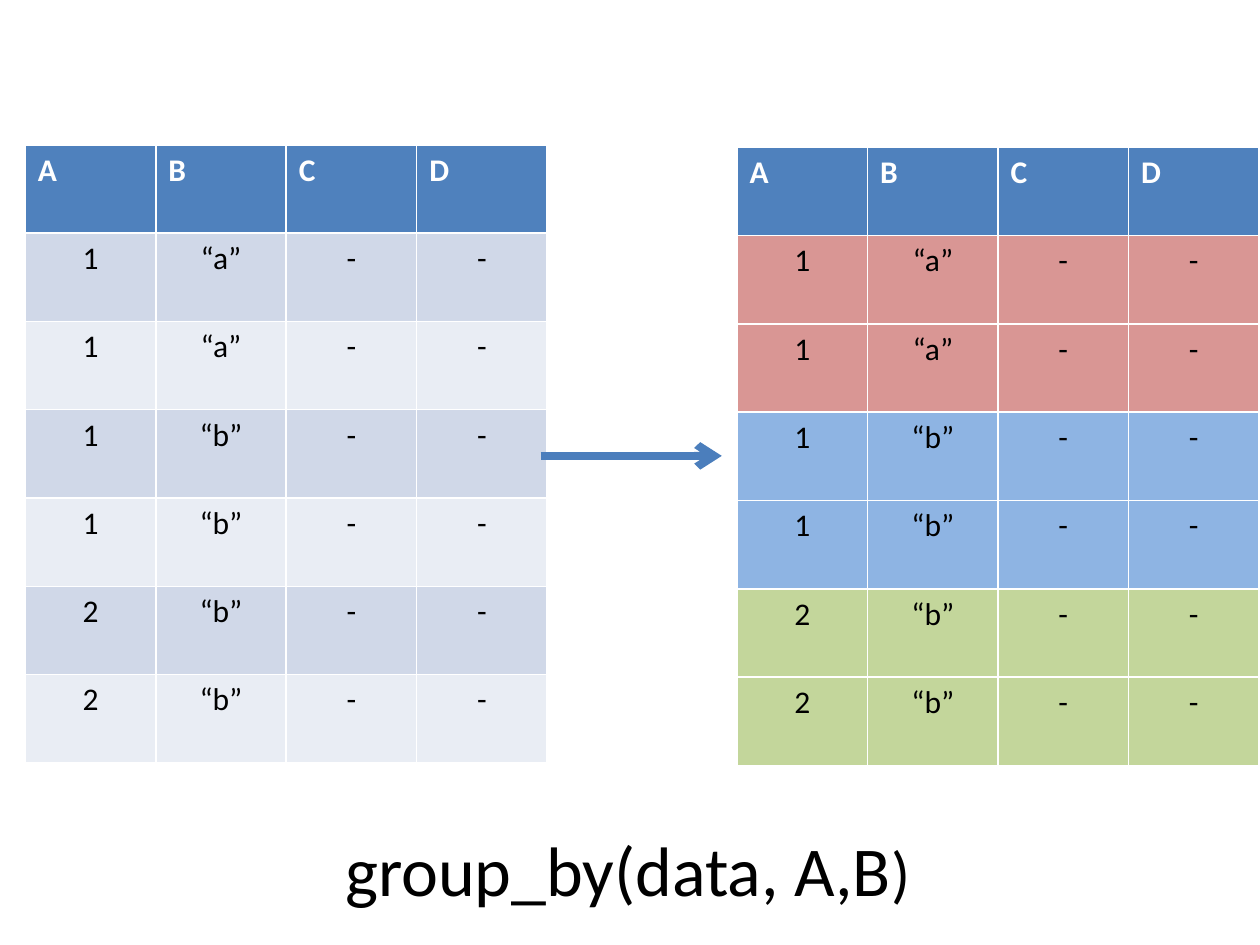
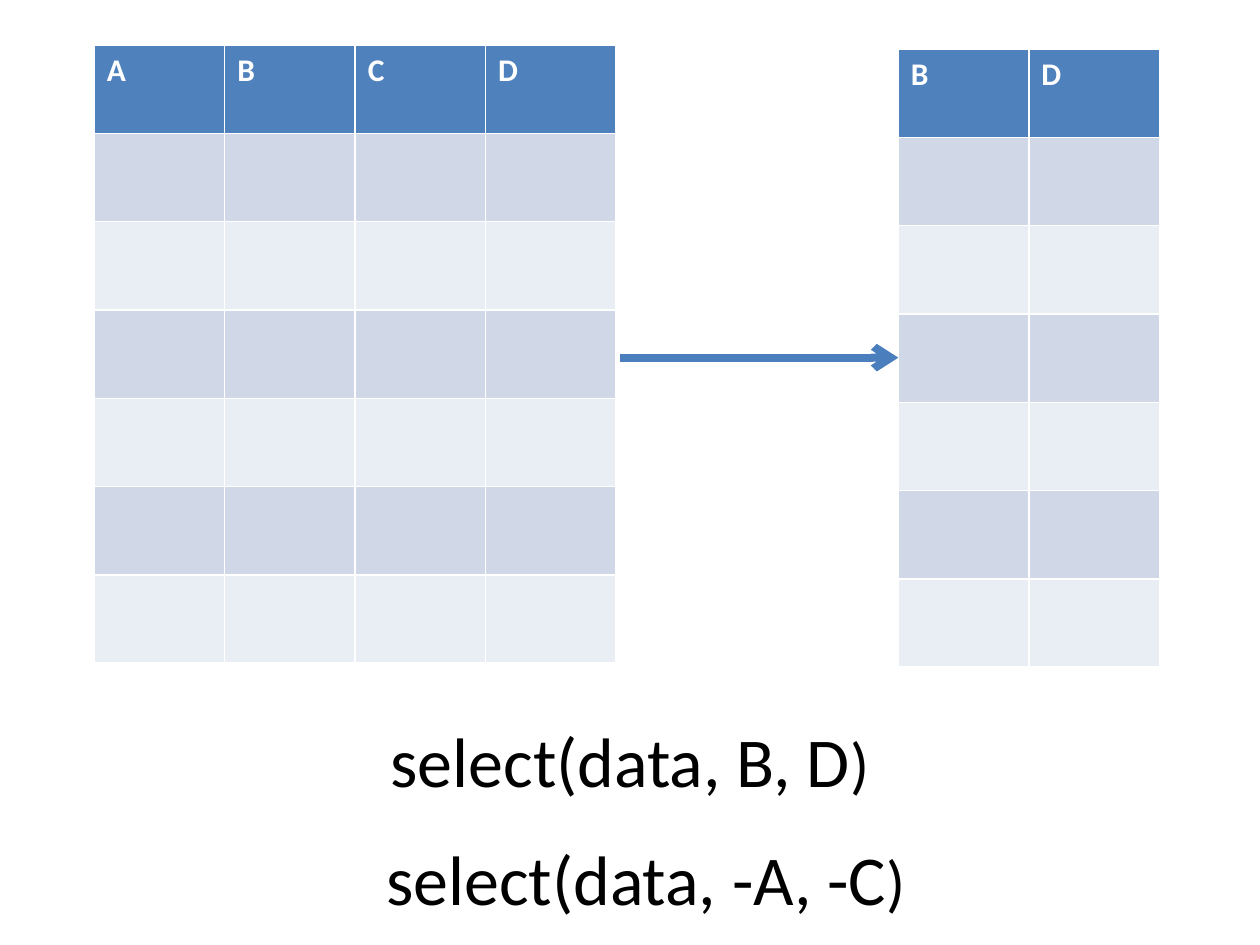
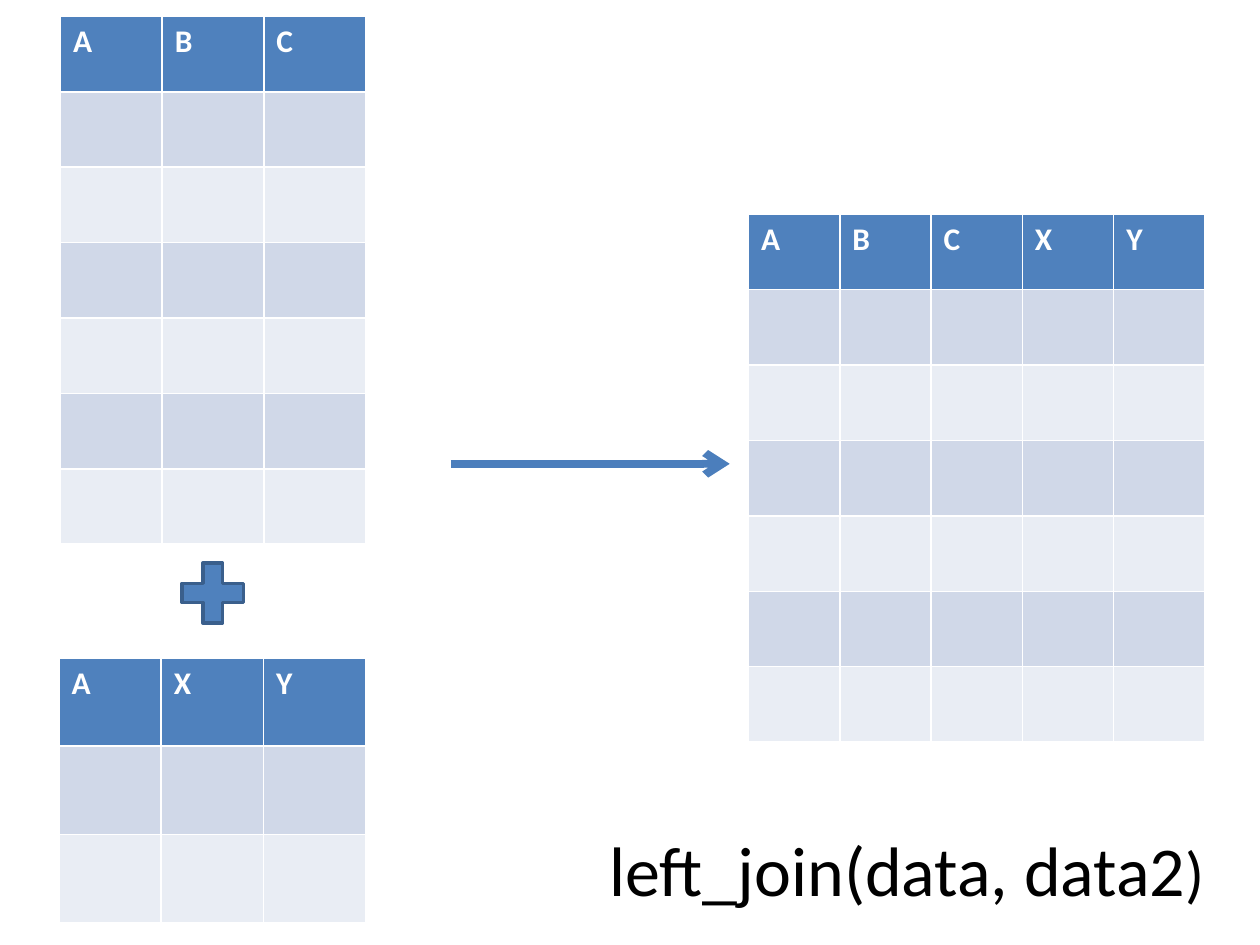
"""Draw three slides on grouping, selecting and joining data tables."""
from dataclasses import dataclass

from lxml import etree
from pptx import Presentation
from pptx import util as u
from pptx.dml.color import RGBColor as Rgb
from pptx.enum import shapes, text
from pptx.oxml import ns


@dataclass(frozen=True)
class Theme:
    font: str = "Calibri"
    head: str = "4F81BD"
    edge: str = "3A5F8C"
    arrow: str = "4B7EBC"
    white: str = "FFFFFF"
    black: str = "000000"
    bands: tuple = ("D0D8E8", "E9EDF4") * 3
    groups: tuple = ("D99694",) * 2 + ("8EB4E3",) * 2 + ("C3D69B",) * 2
    cell: int = 18
    code: int = 40
    close: int = 36


look = Theme()


def style(run, size, color, bold=False):
    font = run.font
    font.name, font.size, font.bold = look.font, u.Pt(size), bold
    font.color.rgb = Rgb.from_string(color)


def grid(slide, left, top, wide, high, heads, fills, rows=()):
    count = len(fills) + 1
    frame = slide.shapes.add_table(count, len(heads), u.Cm(left), u.Cm(top),
                                   u.Cm(wide * len(heads)), u.Cm(high * count))
    table = frame.table
    for col in table.columns:
        col.width = u.Cm(wide)
    for r, fill in enumerate((look.head, *fills)):
        table.rows[r].height = u.Cm(high)
        words = heads if r == 0 else rows[r - 1] if rows else ()
        for c in range(len(heads)):
            cell = table.cell(r, c)
            cell.fill.solid()
            cell.fill.fore_color.rgb = Rgb.from_string(fill)
            if words:
                cell.text_frame.text = words[c]
                para = cell.text_frame.paragraphs[0]
                if r:
                    para.alignment = text.PP_ALIGN.CENTER
                style(para.runs[0], look.cell, look.black if r else look.white, r == 0)


data = [(a, f"“{b}”", "-", "-") for a, b in ("1a", "1a", "1b", "1b", "2b", "2b")]
left, mid = text.PP_ALIGN.LEFT, text.PP_ALIGN.CENTER

pages = [
    {"grids": [(0.51, 2.92, 2.63, 1.78, "ABCD", look.bands, data),
               (14.86, 2.97, 2.63, 1.78, "ABCD", look.groups, data)],
     "arrow": (10.9, 14.55, 9.19),
     "codes": [("group_by(data, A,B", 6.71, 16.54, 11.99, left)]},
    {"grids": [(1.9, 0.91, 2.63, 1.78, "ABCD", look.bands),
               (18.11, 0.99, 2.63, 1.78, "BD", look.bands)],
     "arrow": (12.5, 18.11, 7.21),
     "codes": [("select(data, B, D", 7.57, 14.33, 10.26, mid),
               ("select(data, -A, -C", 7.49, 16.71, 11.07, mid)]},
    {"grids": [(1.22, 0.33, 2.05, 1.52, "ABC", look.bands),
               (1.19, 13.26, 2.06, 1.78, "AXY", look.bands[:2]),
               (15.09, 4.32, 1.84, 1.52, "ABCXY", look.bands)],
     "arrow": (9.09, 14.71, 9.35),
     "codes": [("left_join(data, data2", 11.96, 16.54, 12.65, mid)]},
]

deck = Presentation()
deck.slide_width, deck.slide_height = u.Cm(25.4), u.Cm(19.05)

for page in pages:
    slide = deck.slides.add_slide(deck.slide_layouts[6])
    for item in page["grids"]:
        grid(slide, *item)

    start, end, y = page["arrow"]
    arrow = slide.shapes.add_connector(shapes.MSO_CONNECTOR.STRAIGHT,
                                       u.Cm(start), u.Cm(y), u.Cm(end), u.Cm(y))
    arrow.line.width = u.Pt(4.5)
    arrow.line.color.rgb = Rgb.from_string(look.arrow)
    etree.SubElement(arrow.line._get_or_add_ln(), ns.qn("a:tailEnd"), type="arrow")
    etree.SubElement(arrow._element.spPr, ns.qn("a:effectLst"))

    for code, x, y, wide, align in page["codes"]:
        box = slide.shapes.add_textbox(u.Cm(x), u.Cm(y), u.Cm(wide), u.Cm(1.96))
        frame = box.text_frame
        frame.word_wrap = False
        frame.auto_size = text.MSO_AUTO_SIZE.SHAPE_TO_FIT_TEXT
        para = frame.paragraphs[0]
        para.alignment = align
        for part, size in ((code, look.code), (")", look.close)):
            run = para.add_run()
            run.text = part
            style(run, size, look.black)

plus = slide.shapes.add_shape(shapes.MSO_SHAPE.MATH_PLUS,
                              u.Cm(3.45), u.Cm(11.13), u.Cm(1.68), u.Cm(1.65))
plus.shadow.inherit = False
plus.fill.solid()
plus.fill.fore_color.rgb = Rgb.from_string(look.head)
plus.line.color.rgb = Rgb.from_string(look.edge)
plus.line.width = u.Pt(2)

deck.save("out.pptx")
